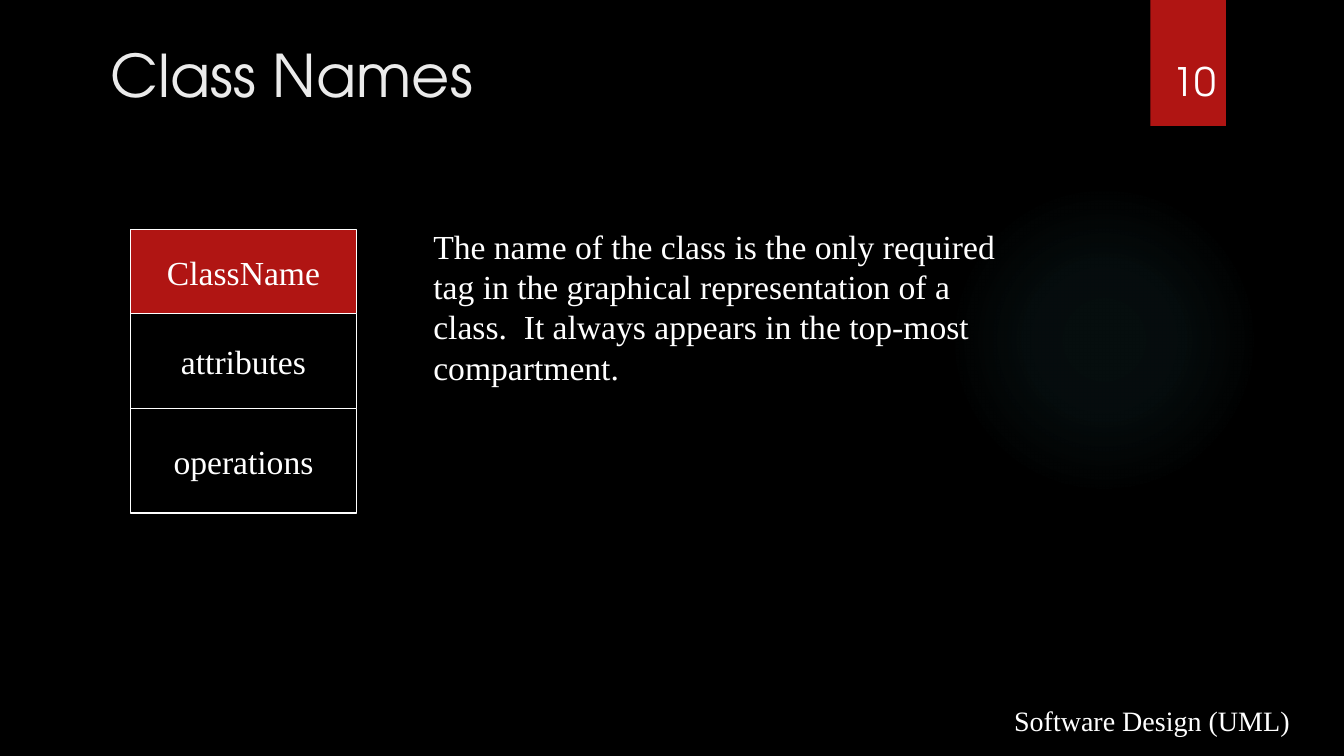
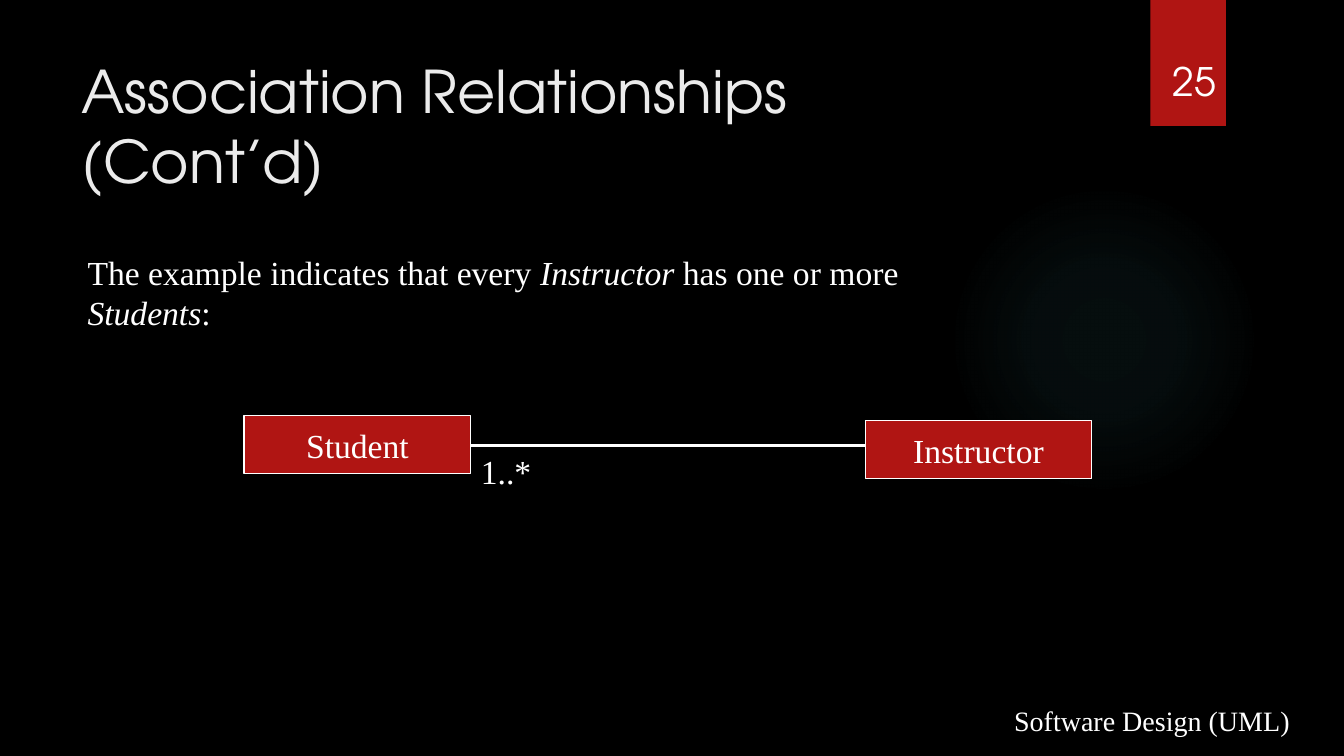
from dataclasses import dataclass

from lxml import etree
from pptx import Presentation
from pptx import util as u
from pptx.dml.color import RGBColor
from pptx.enum import shapes, text
from pptx.oxml import parse_xml
from pptx.oxml.ns import nsdecls, qn


@dataclass(frozen=True)
class Theme:
    background: str = "000000"
    accent: str = "B01513"
    glow: str = "50B9C1"
    title: str = "EBEBEB"
    ink: str = "FFFFFF"
    heading_font: str = "TeX Gyre Adventor"
    body_font: str = "Times New Roman"
    title_size: int = 42
    number_size: int = 28
    body_size: int = 24
    footer_size: int = 20
    # Glow stops: position and opacity, in percent
    glow_stops: tuple = ((0, 7), (36, 6), (69, 0))


def rgb(color):
    return RGBColor.from_string(color)


class Deck:
    CLASS_WIDTH = 2.25
    FOOTER = "Software Design (UML)"

    def __init__(self, theme):
        self.theme = theme
        self.prs = Presentation()
        self.prs.slide_width = u.Inches(13.33)
        self.prs.slide_height = u.Inches(7.5)
        fill = self.prs.slide_master.background.fill
        fill.solid()
        fill.fore_color.rgb = rgb(theme.background)
        self.slide = None

    def new_slide(self, title, number, left, top, width):
        """Start a slide with the shared decoration, title, number and footer."""
        t = self.theme
        self.slide = self.prs.slides.add_slide(self.prs.slide_layouts[6])
        self.glow(9.41, 1.83, 3.08)
        self.shape(shapes.MSO_SHAPE.RECTANGLE, 11.41, 0, 0.75, 1.25, t.accent)
        self.text(title, left, top, width, 0.58, t.title_size, t.heading_font, t.title)
        self.text(self.FOOTER, 9.96, 7.03, 3.2, 0.33, t.footer_size,
                  anchor=text.MSO_ANCHOR.BOTTOM)
        self.text(str(number), 11.53, 0.52, 0.92, 0.79, t.number_size, t.heading_font)

    def shape(self, kind, left, top, width, height, color):
        shape = self.slide.shapes.add_shape(
            kind, u.Inches(left), u.Inches(top), u.Inches(width), u.Inches(height))
        shape.shadow.inherit = False
        shape.fill.solid()
        shape.fill.fore_color.rgb = rgb(color)
        shape.line.fill.background()
        return shape

    def glow(self, left, top, size):
        """A circle that fades out from its centre."""
        t = self.theme
        circle = self.shape(shapes.MSO_SHAPE.OVAL, left, top, size, size, t.glow)
        stops = "".join(
            f'<a:gs pos="{pos * 1000}"><a:srgbClr val="{t.glow}">'
            f'<a:alpha val="{opacity * 1000}"/></a:srgbClr></a:gs>'
            for pos, opacity in t.glow_stops)
        gradient = parse_xml(
            f'<a:gradFill {nsdecls("a")} rotWithShape="1"><a:gsLst>{stops}</a:gsLst>'
            '<a:path path="circle"><a:fillToRect l="50000" t="50000" r="50000" b="50000"/>'
            '</a:path></a:gradFill>')
        properties = circle.element.spPr
        properties.replace(properties.find(qn("a:solidFill")), gradient)

    def style(self, paragraph, size, font=None, color=None):
        paragraph.font.size = u.Pt(size)
        paragraph.font.name = font or self.theme.body_font
        paragraph.font.color.rgb = rgb(color or self.theme.ink)

    def text(self, content, left, top, width, height, size=None, font=None,
             color=None, anchor=text.MSO_ANCHOR.TOP):
        """Text given as a string, or as (words, italic) pairs."""
        box = self.slide.shapes.add_textbox(
            u.Inches(left), u.Inches(top), u.Inches(width), u.Inches(height))
        frame = box.text_frame
        frame.word_wrap = True
        frame.vertical_anchor = anchor
        paragraph = frame.paragraphs[0]
        self.style(paragraph, size or self.theme.body_size, font, color)
        pieces = [(content, False)] if isinstance(content, str) else content
        for words, italic in pieces:
            run = paragraph.add_run()
            run.text = words
            if italic:
                run.font.italic = True

    def compartment(self, label, left, top, height, color=None):
        """One outlined box of a class diagram."""
        box = self.shape(shapes.MSO_SHAPE.RECTANGLE, left, top, self.CLASS_WIDTH,
                         height, color or self.theme.accent)
        box.line.color.rgb = rgb(self.theme.ink)
        box.line.width = u.Pt(0.75)
        frame = box.text_frame
        frame.word_wrap = False
        frame.vertical_anchor = text.MSO_ANCHOR.MIDDLE
        paragraph = frame.paragraphs[0]
        paragraph.text = label
        paragraph.alignment = text.PP_ALIGN.CENTER
        self.style(paragraph, self.theme.body_size)

    def association(self, start, end, y):
        line = self.slide.shapes.add_connector(
            shapes.MSO_CONNECTOR.STRAIGHT,
            u.Inches(start), u.Inches(y), u.Inches(end), u.Inches(y))
        line.line.color.rgb = rgb(self.theme.ink)
        line.line.width = u.Pt(2.25)
        etree.SubElement(line.element.spPr, qn("a:effectLst"))


def class_names(deck):
    deck.new_slide("Class Names", 10, 1, 0.33, 10)

    # Class with its three compartments, stacked
    top = 2.28
    for label, height, color in (
            ("ClassName", 0.83, deck.theme.accent),
            ("attributes", 0.94, deck.theme.background),
            ("operations", 1.04, deck.theme.background)):
        deck.compartment(label, 1.29, top, height, color)
        top += height

    # Explanation
    deck.text("The name of the class is the only required tag in the graphical "
              "representation of a class.  It always appears in the top-most "
              "compartment.", 4.2, 2.19, 6, 1.72)


def association_relationships(deck):
    deck.new_slide("Association Relationships (Cont’d)", 25, 0.71, 0.49, 9)

    # Explanation
    deck.text([("The example indicates that every ", False), ("Instructor", True),
               (" has one or more ", False), ("Students", True), (":", False)],
              0.77, 2.45, 8.87, 0.91)

    # Two classes, their association and its multiplicity
    student_left, instructor_left, line_y = 2.42, 8.58, 4.42
    student_right = student_left + deck.CLASS_WIDTH
    deck.association(student_right, instructor_left, line_y)
    deck.compartment("Instructor", instructor_left, 4.17, 0.58)
    deck.compartment("Student", student_left, 4.12, 0.58)
    deck.text("1..*", student_right, line_y, 0.75, 0.5)


def main():
    deck = Deck(Theme())
    class_names(deck)
    association_relationships(deck)
    deck.prs.save("out.pptx")


if __name__ == "__main__":
    main()
